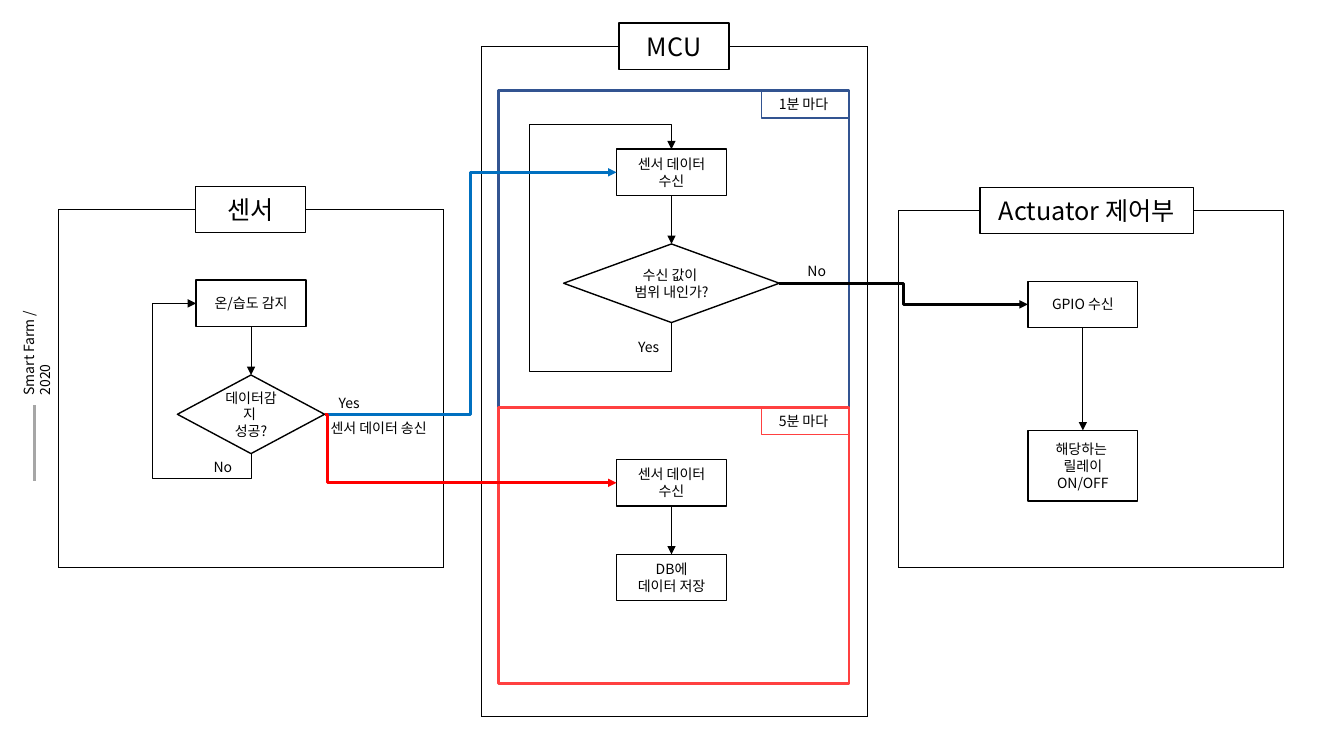
from dataclasses import dataclass

from lxml.etree import SubElement
from pptx import Presentation
from pptx.dml.color import RGBColor
from pptx.enum.shapes import MSO_CONNECTOR, MSO_SHAPE
from pptx.enum.text import MSO_ANCHOR, MSO_AUTO_SIZE, PP_ALIGN
from pptx.oxml.ns import qn
from pptx.util import Inches, Pt


@dataclass(frozen=True)
class Theme:
    """Colours, font, type sizes and line weights of the slide."""
    font: str = "Noto Sans CJK KR"
    ink: str = "000000"
    blue: str = "0070C0"
    red: str = "FF0000"
    navy: str = "325491"
    coral: str = "FF4040"
    grey: str = "A6A6A6"
    title: float = 18
    body: float = 10
    hair: float = 0.5
    thin: float = 1
    thick: float = 2


THEME = Theme()
TOP, LEFT, BOTTOM, RIGHT = range(4)
NODE_W, NODE_H, DIAMOND_H = 1.09, 0.46, 0.78


def style_line(sp, color, weight, arrow=False):
    """Colour a line, remove its shadow and optionally end it in an arrow."""
    sp.line.color.rgb = RGBColor.from_string(color)
    sp.line.width = Pt(weight)
    if arrow:
        SubElement(sp.line._get_or_add_ln(), qn("a:tailEnd"), type="triangle")
    SubElement(sp._element.spPr, qn("a:effectLst"))


def write(sp, text, size, align=PP_ALIGN.CENTER):
    """Fill a shape with text in the theme font."""
    tf = sp.text_frame
    tf.text = text
    for p in tf.paragraphs:
        p.alignment = align
        for r in p.runs:
            r.font.size = Pt(size)
            r.font.name = THEME.font
            r.font.color.rgb = RGBColor.from_string(THEME.ink)
            SubElement(r.font._element, qn("a:ea"), typeface=THEME.font)
    return tf


def add_box(s, x, y, w, h, text="", kind=MSO_SHAPE.RECTANGLE,
            size=THEME.body, color=THEME.ink, weight=THEME.thin):
    """Add an outlined shape with centred text."""
    sp = s.shapes.add_shape(kind, Inches(x), Inches(y), Inches(w), Inches(h))
    sp.shadow.inherit = False
    sp.fill.background()
    sp.line.color.rgb = RGBColor.from_string(color)
    sp.line.width = Pt(weight)
    if text:
        tf = write(sp, text, size)
        tf.word_wrap = True
        tf.vertical_anchor = MSO_ANCHOR.MIDDLE
    return sp


def add_node(s, cx, y, text, w=NODE_W, h=NODE_H, kind=MSO_SHAPE.RECTANGLE):
    """Add a flowchart step centred on cx."""
    return add_box(s, cx - w / 2, y, w, h, text, kind)


def add_label(s, x, y, w, text):
    """Add a small unwrapped caption beside a line."""
    sp = s.shapes.add_textbox(Inches(x), Inches(y), Inches(w), Inches(0.27))
    tf = write(sp, text, THEME.body, PP_ALIGN.LEFT)
    tf.word_wrap = False
    tf.auto_size = MSO_AUTO_SIZE.SHAPE_TO_FIT_TEXT


def add_line(s, start, end, color=THEME.ink, weight=THEME.hair):
    """Add a plain straight line between two points."""
    c = s.shapes.add_connector(MSO_CONNECTOR.STRAIGHT, *map(Inches, start + end))
    style_line(c, color, weight)
    return c


def add_arrow(s, source, target, sides=(BOTTOM, TOP), color=THEME.ink,
              weight=THEME.hair, bend=None):
    """Join two shapes with an arrow, bent at a share of its width if given."""
    kind = MSO_CONNECTOR.STRAIGHT if bend is None else MSO_CONNECTOR.ELBOW
    c = s.shapes.add_connector(kind, 0, 0, 0, 0)
    c.begin_connect(source, sides[0])
    c.end_connect(target, sides[1])
    if bend is not None:
        guides = c._element.spPr.prstGeom.get_or_add_avLst()
        SubElement(guides, qn("a:gd"), name="adj1", fmla=f"val {round(bend * 100000)}")
    style_line(c, color, weight, arrow=True)


def add_loop(s, points):
    """Add an open return path that ends in an arrow."""
    start, *rest = [(Inches(x), Inches(y)) for x, y in points]
    builder = s.shapes.build_freeform(*start)
    builder.add_line_segments(rest, close=False)
    sp = builder.convert_to_shape()
    sp.fill.background()
    style_line(sp, THEME.ink, THEME.hair, arrow=True)


def add_frame(s, box, title, title_dx, title_w=NODE_W):
    """Outline a region whose top edge is broken by its title."""
    x, y, w, h = box
    sp = add_box(s, x + title_dx, y - NODE_H / 2, title_w, NODE_H, title, size=THEME.title)
    right, bottom = x + w, y + h
    add_line(s, (right, y), (x + title_dx + title_w, y)).end_connect(sp, RIGHT)
    add_line(s, (right, y), (right, bottom))
    add_line(s, (right, bottom), (x, bottom))
    add_line(s, (x, y), (x, bottom))
    add_line(s, (x + title_dx, y), (x, y)).begin_connect(sp, LEFT)


def add_sensor(s, box):
    """Build the sensor region and return its decision step."""
    x, y, w, h = box
    cx = x + w / 2
    add_frame(s, box, "센서", 1.36)
    sense = add_node(s, cx, y + 0.7, "온/습도 감지")
    check = add_node(s, cx, y + 1.64, "데이터감지 \n성공?", 1.46, DIAMOND_H, MSO_SHAPE.DIAMOND)
    add_arrow(s, sense, check)
    add_loop(s, [(cx, y + 2.42), (cx, y + 2.67), (x + 0.93, y + 2.67),
                 (x + 0.93, y + 0.93), (cx - NODE_W / 2, y + 0.93)])
    add_label(s, x + 1.44, y + 2.42, 0.39, "No")
    add_label(s, x + 2.68, y + 1.78, 0.42, "Yes")
    add_label(s, x + 2.6, y + 2.03, 1.28, "센서 데이터 송신")
    return check


def add_panel(s, box, text, color):
    """Outline a timed panel with its interval tag in the top right corner."""
    x, y, w, h = box
    add_box(s, x, y, w, h, color=color, weight=THEME.thick)
    add_box(s, x + w - 0.87, y, 0.87, 0.27, text, color=color)


def add_mcu(s, box):
    """Build the controller region and return both receivers and the decision."""
    x, y, w, h = box
    cx = x + 1.89
    add_frame(s, box, "MCU", 1.37)
    receive = add_node(s, cx, y + 1.02, "센서 데이터 수신")
    check = add_node(s, cx, y + 1.96, "수신 값이 \n범위 내인가?", 2.14, DIAMOND_H, MSO_SHAPE.DIAMOND)
    log = add_node(s, cx, y + 4.1, "센서 데이터 수신")
    store = add_node(s, cx, y + 5.04, "DB에\v데이터 저장")
    add_arrow(s, receive, check)
    add_arrow(s, log, store)
    add_loop(s, [(cx, y + 2.74), (cx, y + 3.22), (x + 0.48, y + 3.22),
                 (x + 0.48, y + 0.77), (cx, y + 0.77), (cx, y + 1.02)])
    add_label(s, x + 1.46, y + 2.85, 0.42, "Yes")
    add_label(s, x + 3.14, y + 2.1, 0.39, "No")
    add_panel(s, (x + 0.17, y + 0.44, 3.48, 3.14), "1분 마다 ", THEME.navy)
    add_panel(s, (x + 0.17, y + 3.58, 3.48, 2.74), "5분 마다 ", THEME.coral)
    return receive, check, log


def add_actuator(s, box):
    """Build the actuator region and return its receiving step."""
    x, y, w, h = box
    cx = x + 1.83
    add_frame(s, box, "Actuator 제어부", 0.81, 2.12)
    gpio = add_node(s, cx, y + 0.7, "GPIO 수신")
    relay = add_node(s, cx, y + 2.18, "해당하는 \n릴레이\nON/OFF", h=0.7)
    add_arrow(s, gpio, relay)
    return gpio


def add_side_note(s, box):
    """Add the upward-reading project note and the grey rule below it."""
    x, y, w, h = box
    sp = s.shapes.add_textbox(*map(Inches, box))
    sp.rotation = 180
    tf = write(sp, "Smart Farm /\v2020", THEME.body, PP_ALIGN.LEFT)
    tf.word_wrap = True
    tf.auto_size = MSO_AUTO_SIZE.SHAPE_TO_FIT_TEXT
    tf._txBody.bodyPr.set("vert", "eaVert")
    add_line(s, (x + 0.19, y + h), (x + 0.19, y + h + 0.75), THEME.grey, THEME.thick)


def main():
    """Build the flowchart slide and save it."""
    prs = Presentation()
    prs.slide_width, prs.slide_height = Inches(13.33), Inches(7.5)
    s = prs.slides.add_slide(prs.slide_layouts[6])
    detected = add_sensor(s, (0.58, 2.08, 3.82, 3.55))
    receive, in_range, log = add_mcu(s, (4.77, 0.46, 3.83, 6.65))
    gpio = add_actuator(s, (8.91, 2.09, 3.82, 3.54))
    across = (RIGHT, LEFT)
    add_arrow(s, detected, receive, across, THEME.blue, THEME.thick, 0.5)
    add_arrow(s, in_range, gpio, across, THEME.ink, THEME.thick, 0.5)
    add_arrow(s, detected, log, across, THEME.red, THEME.thick, 0.01)
    add_side_note(s, (0.15, 2.66, 0.37, 1.36))
    prs.save("out.pptx")


if __name__ == "__main__":
    main()
